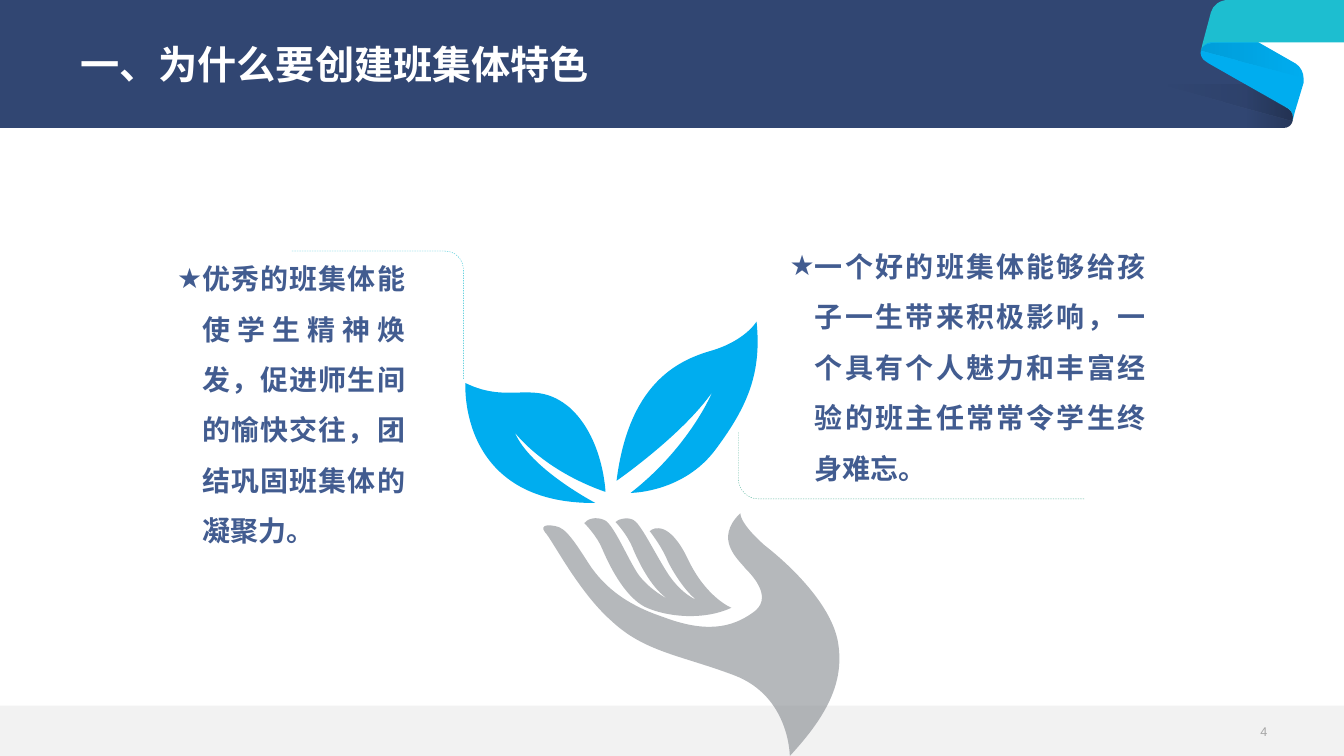
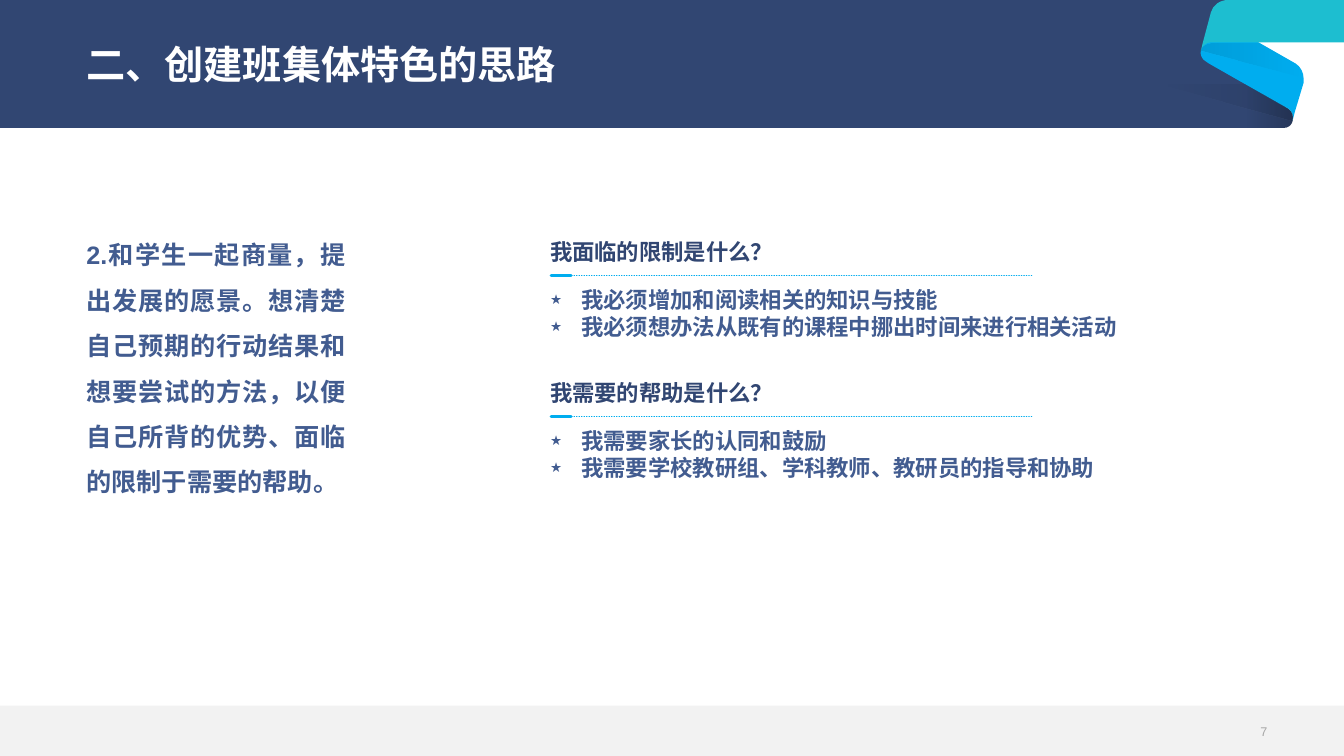
from lxml.etree import SubElement
from pptx import Presentation
from pptx.dml.color import RGBColor
from pptx.enum.dml import MSO_LINE
from pptx.enum.shapes import MSO_CONNECTOR, MSO_SHAPE
from pptx.enum.text import MSO_ANCHOR, PP_ALIGN
from pptx.oxml.ns import qn
from pptx.util import Inches, Pt

WIDTH, HEIGHT = 13.34, 7.5
BAND_H = 1.27
FOOTER_H = 0.5
FONT = "Arial"

NAVY = RGBColor(0x31, 0x46, 0x72)
BLUE = RGBColor(0x42, 0x5C, 0x90)
SKY = RGBColor(0x00, 0xAD, 0xEF)
TEAL = RGBColor(0x1D, 0xBE, 0xD0)
GREEN = RGBColor(0x58, 0xB6, 0x9E)
GREY = RGBColor(0x85, 0x89, 0x8F)
PALE = RGBColor(0xF2, 0xF2, 0xF2)
PAGE_GREY = RGBColor(0xA6, 0xA6, 0xA6)
WHITE = RGBColor(0xFF, 0xFF, 0xFF)
BLACK = RGBColor(0, 0, 0)

# Outlines in inches: a start point, then lines (x, y)
# and Bezier curves (x1, y1, x2, y2, x, y).
BAND = [(0, 0), (12.43, 0), (12.43, 0.72), (12.79, 1.08),
        (12.83, 1.11, 12.84, 1.15, 12.83, 1.2),
        (12.82, 1.24, 12.79, BAND_H, 12.74, BAND_H), (0, BAND_H)]
RIBBON_BACK = [(11.97, 0.61), (12, 0.63), (12.79, 1.08),
               (12.83, 1.11, 12.84, 1.15, 12.83, 1.2), (12.85, 1.12), (12.94, 0.82),
               (12.94, 0.81, 12.94, 0.79, 12.94, 0.78),
               (12.94, 0.72, 12.91, 0.66, 12.86, 0.63), (12.44, 0.39), (12.02, 0.41),
               (11.97, 0.41, 11.93, 0.46, 11.92, 0.5),
               (11.91, 0.54, 11.93, 0.59, 11.97, 0.61)]
RIBBON_FRONT = [(11.92, 0.5), (11.93, 0.46, 11.97, 0.42, 12.02, 0.42), (WIDTH, 0.42),
                (WIDTH, 0), (12.19, 0), (12.11, 0, 12.04, 0.05, 12.02, 0.12), (11.94, 0.42)]
# Each shade: outline, opacity in percent at the left and at the right.
RIBBON_SHADES = [
    ([(12.37, 0.84), (12.37, BAND_H), (12.74, BAND_H),
      (12.79, BAND_H, 12.82, 1.24, 12.83, 1.2),
      (12.84, 1.15, 12.83, 1.11, 12.79, 1.08)], (0, 20)),
    ([(11.52, 0.84), (12.83, 1.2), (12.84, 1.15, 12.83, 1.11, 12.79, 1.08),
      (12.37, 0.84)], (0, 10)),
    ([(11.92, 0.5), (12.94, 0.77), (12.94, 0.72, 12.91, 0.66, 12.86, 0.63), (12.5, 0.43),
      (12.02, 0.43), (11.97, 0.43, 11.93, 0.46, 11.92, 0.5)], (10, 0)),
]
LEAVES = [
    [(6.01, 4.88), (6.01, 4.88, 5.99, 4.34, 5.65, 4.04), (5.3, 3.75, 5.07, 4.02, 4.62, 3.8),
     (4.62, 3.8, 4.54, 5, 5.91, 4.99), (5.91, 4.99, 5.26, 4.65, 5.11, 4.29),
     (5.11, 4.29, 5.38, 4.66, 6.01, 4.88)],
    [(6.26, 4.89), (6.26, 4.89, 6.79, 4.89, 7.11, 4.45), (7.43, 4.02, 7.56, 3.69, 7.51, 3.19),
     (7.51, 3.19, 7.4, 3.38, 7.06, 3.48), (6.71, 3.58, 6.24, 3.82, 6.12, 4.77),
     (6.12, 4.77, 6.77, 4.32, 7.07, 3.89), (7.07, 3.89, 6.85, 4.43, 6.26, 4.89)],
]
PALM = [(7.35, 5.09), (7.35, 5.09, 7.33, 5.18, 7.59, 5.41), (7.86, 5.62, 8.26, 6.01, 8.32, 6.38),
        (8.38, 6.76, 8.22, 7.09, 7.84, 7.5), (7.84, 7.5, 7.84, 6.91, 7.29, 6.7),
        (6.76, 6.5, 6.4, 6.47, 6.07, 6.16), (5.74, 5.87, 5.48, 5.35, 5.41, 5.28),
        (5.35, 5.2, 5.46, 5.2, 5.55, 5.23), (5.65, 5.27, 5.77, 5.48, 5.87, 5.63),
        (5.98, 5.78, 6.16, 5.98, 6.58, 6.12), (7, 6.28, 7.26, 6.23, 7.47, 6.08),
        (7.68, 5.94, 7.48, 5.72, 7.4, 5.64), (7.33, 5.55, 7.08, 5.35, 7.35, 5.09)]
FINGERS = [(7.26, 6.03), (7.26, 6.03, 7.01, 5.93, 6.83, 5.55), (6.65, 5.17, 6.49, 5.23, 6.45, 5.27),
           (6.45, 5.27, 6.57, 5.42, 6.63, 5.57), (6.7, 5.71, 6.81, 5.87, 6.91, 5.95),
           (6.91, 5.95, 6.75, 5.89, 6.61, 5.66), (6.48, 5.45, 6.36, 5.2, 6.29, 5.16),
           (6.22, 5.12, 6.12, 5.16, 6.11, 5.18), (6.11, 5.18, 6.23, 5.3, 6.29, 5.46),
           (6.36, 5.62, 6.48, 5.85, 6.64, 5.95), (6.64, 5.95, 6.44, 5.85, 6.33, 5.69),
           (6.22, 5.52, 6.09, 5.2, 6, 5.16), (5.91, 5.12, 5.83, 5.15, 5.8, 5.19),
           (5.8, 5.19, 5.93, 5.32, 5.98, 5.45), (6.04, 5.59, 6.19, 5.91, 6.4, 6.02),
           (6.61, 6.12, 6.98, 6.16, 7.26, 6.03)]
BRACKETS = [
    ([(2.9, 2.49), (4.41, 2.49), (4.52, 2.49, 4.6, 2.57, 4.6, 2.68), (4.6, 3.77)], TEAL),
    ([(10.76, 4.95), (7.53, 4.95), (7.42, 4.95, 7.33, 4.86, 7.33, 4.75), (7.33, 4.29)], GREEN),
]

REASONS_TITLE = "一、为什么要创建班集体特色"
REASONS = [
    ((1.66, 2.38, 2.46, 3.38),
     "优秀的班集体能使学生精神焕发，促进师生间的愉快交往，团结巩固班集体的凝聚力。"),
    ((7.74, 2.26, 3.73, 2.84),
     "一个好的班集体能够给孩子一生带来积极影响，一个具有个人魅力和丰富经验的班主任常常令学生终身难忘。"),
]

IDEAS_TITLE = "二、创建班集体特色的思路"
VISION = ("2.和学生一起商量，提出发展的愿景。想清楚自己预期的行动结果和想要尝试的方法，"
          "以便自己所背的优势、面临的限制于需要的帮助。")
QUESTIONS = [
    ("我面临的限制是什么？",
     ["我必须增加和阅读相关的知识与技能", "我必须想办法从既有的课程中挪出时间来进行相关活动"]),
    ("我需要的帮助是什么？",
     ["我需要家长的认同和鼓励", "我需要学校教研组、学科教师、教研员的指导和协助"]),
]
QUESTION_LEFT, QUESTION_TOP, QUESTION_PITCH = 5.46, 2.36, 1.4


def set_opacity(shape, percents):
    colours = shape._element.spPr.iter(qn("a:srgbClr"))
    for colour, percent in zip(list(colours), percents):
        SubElement(colour, qn("a:alpha")).set("val", str(percent * 1000))


def add_outline(slide, outline, closed=True):
    """Draw all points as lines, then join each curve's three lines into one Bezier."""
    first, *others = [(Inches(x), Inches(y)) for segment in outline
                      for x, y in zip(segment[::2], segment[1::2])]
    builder = slide.shapes.build_freeform(*first)
    builder.add_line_segments(others, close=closed)
    shape = builder.convert_to_shape()
    shape.shadow.inherit = False
    contour = next(shape._element.spPr.iter(qn("a:path")))
    lines = iter(contour.findall(qn("a:lnTo")))
    for segment in outline[1:]:
        parts = [next(lines) for _ in segment[::2]]
        if len(parts) == 3:
            curve = SubElement(contour, qn("a:cubicBezTo"))
            parts[0].addprevious(curve)
            for part in parts:
                curve.append(part[0])
                contour.remove(part)
    return shape


def add_filled(slide, outline, colour):
    shape = add_outline(slide, outline)
    shape.fill.solid()
    shape.fill.fore_color.rgb = colour
    shape.line.fill.background()
    return shape


def add_shade(slide, outline, opacities):
    shape = add_outline(slide, outline)
    shape.fill.gradient()
    shape.fill.gradient_angle = 0
    for stop in shape.fill.gradient_stops:
        stop.color.rgb = BLACK
    set_opacity(shape, opacities)
    shape.line.fill.background()


def style_line(shape, colour, width, dashed):
    shape.line.color.rgb = colour
    shape.line.width = Pt(width)
    if dashed:
        shape.line.dash_style = MSO_LINE.DASH
    shape._element.spPr.find(qn("a:ln")).set("cap", "rnd")


def add_rule(slide, x1, x2, y, width, dashed=False):
    rule = slide.shapes.add_connector(MSO_CONNECTOR.STRAIGHT, *map(Inches, (x1, y, x2, y)))
    style_line(rule, SKY, width, dashed)
    SubElement(rule._element.spPr, qn("a:effectLst"))


def add_star(paragraph, indent, percent):
    props = paragraph._p.get_or_add_pPr()
    props.set("marL", str(Inches(indent)))
    props.set("indent", str(-Inches(indent)))
    SubElement(SubElement(props, qn("a:buClr")), qn("a:srgbClr")).set("val", str(BLUE))
    SubElement(props, qn("a:buSzPct")).set("val", str(percent * 1000))
    SubElement(props, qn("a:buFont")).set("typeface", FONT)
    SubElement(props, qn("a:buChar")).set("char", "★")


def add_text(slide, box, lines, size, colour, bold=True, align=PP_ALIGN.LEFT,
             anchor=MSO_ANCHOR.TOP, spacing=None, star=None, inset=True):
    """Write one paragraph per line; star is (indent in inches, bullet size in percent)."""
    frame = slide.shapes.add_textbox(*map(Inches, box)).text_frame
    frame.word_wrap = True
    frame.vertical_anchor = anchor
    if not inset:
        frame.margin_left = frame.margin_right = frame.margin_top = frame.margin_bottom = 0
    for index, line in enumerate(lines):
        paragraph = frame.add_paragraph() if index else frame.paragraphs[0]
        paragraph.text = line
        if star:
            add_star(paragraph, *star)
        paragraph._p.get_or_add_pPr().set("hangingPunct", "0")
        paragraph.alignment = align
        if spacing:
            paragraph.line_spacing = spacing
        font = paragraph.font
        font.name, font.size, font.bold = FONT, Pt(size), bold
        font.color.rgb = colour


def add_base(prs, title, title_left, page):
    """Start a slide with the shared band, ribbon, footer, title and page number."""
    slide = prs.slides.add_slide(prs.slide_layouts[6])
    for outline, colour in ((BAND, NAVY), (RIBBON_BACK, SKY), (RIBBON_FRONT, TEAL)):
        add_filled(slide, outline, colour)
    for outline, opacities in RIBBON_SHADES:
        add_shade(slide, outline, opacities)
    footer = slide.shapes.add_shape(
        MSO_SHAPE.RECTANGLE, *map(Inches, (0, HEIGHT - FOOTER_H, WIDTH, FOOTER_H)))
    footer.shadow.inherit = False
    footer.fill.solid()
    footer.fill.fore_color.rgb = PALE
    footer.line.fill.background()
    add_text(slide, (title_left, 0.06, 12.57 - title_left, 1.2), [title], 28, WHITE,
             anchor=MSO_ANCHOR.MIDDLE, spacing=0.9)
    add_text(slide, (11.95, 7.13, 0.63, 0.26), [str(page)], 9, PAGE_GREY, bold=False,
             align=PP_ALIGN.RIGHT, anchor=MSO_ANCHOR.MIDDLE, inset=False)
    return slide


def build_reasons(prs):
    slide = add_base(prs, REASONS_TITLE, 0.7, 4)
    for leaf in LEAVES:
        add_filled(slide, leaf, SKY)
    for part in (PALM, FINGERS):
        set_opacity(add_filled(slide, part, GREY), [60])
    for outline, colour in BRACKETS:
        bracket = add_outline(slide, outline, closed=False)
        bracket.fill.background()
        style_line(bracket, colour, 0.25, dashed=True)
    for box, reason in REASONS:
        add_text(slide, box, [reason], 20, BLUE, align=PP_ALIGN.JUSTIFY, spacing=1.5,
                 star=(0.25, 100))


def build_ideas(prs):
    slide = add_base(prs, IDEAS_TITLE, 0.76, 7)
    add_text(slide, (0.76, 2.18, 2.77, 3.83), [VISION], 18, BLUE,
             align=PP_ALIGN.JUSTIFY, spacing=1.5)
    for row, (question, answers) in enumerate(QUESTIONS):
        left, top = QUESTION_LEFT, QUESTION_TOP + row * QUESTION_PITCH
        add_text(slide, (left, top, 5.6, 0.27), [question], 16, NAVY, inset=False)
        add_rule(slide, left + 0.01, left + 0.21, top + 0.37, 2)
        add_rule(slide, left + 0.21, 10.25, top + 0.37, 0.25, dashed=True)
        add_text(slide, (left, top + 0.48, 6.69, 0.53), answers, 16, BLUE,
                 star=(0.31, 60), inset=False)


def main():
    prs = Presentation()
    prs.slide_width, prs.slide_height = Inches(WIDTH), Inches(HEIGHT)
    build_reasons(prs)
    build_ideas(prs)
    prs.save("out.pptx")


if __name__ == "__main__":
    main()
